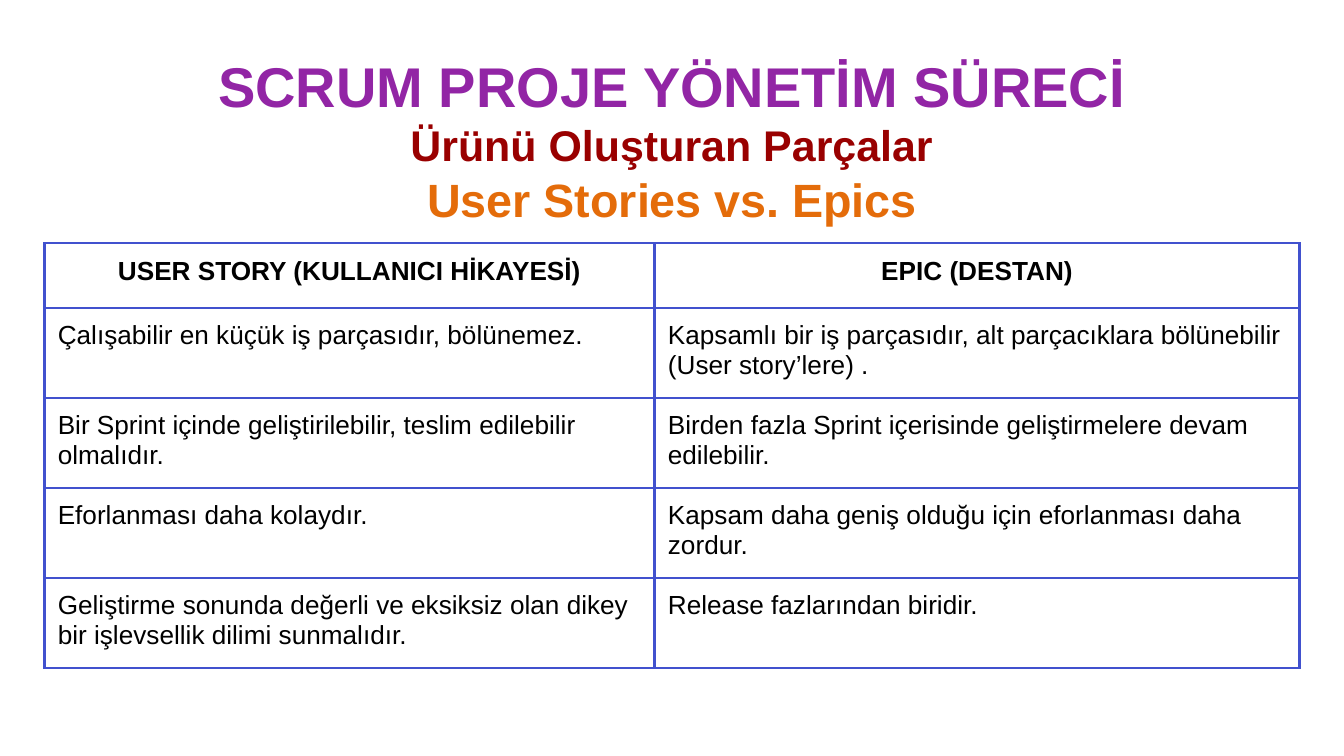
from lxml import etree
from pptx import Presentation
from pptx.dml.color import RGBColor
from pptx.enum import text
from pptx.oxml.ns import qn
from pptx.util import Inches, Pt

FONT = "Arial"
BORDER = "4151CE"
TITLE_LINES = [
    ("SCRUM PROJE YÖNETİM SÜRECİ", 30, "9225A5"),
    ("Ürünü Oluşturan Parçalar", 23, "990000"),
    ("User Stories vs. Epics", 25, "E46C0A"),
]
COMPARISON = [
    ("USER STORY (KULLANICI HİKAYESİ)", "EPIC (DESTAN)"),
    ("Çalışabilir en küçük iş parçasıdır, bölünemez.",
     "Kapsamlı bir iş parçasıdır, alt parçacıklara bölünebilir (User story’lere) ."),
    ("Bir Sprint içinde geliştirilebilir, teslim edilebilir olmalıdır.",
     "Birden fazla Sprint içerisinde geliştirmelere devam edilebilir."),
    ("Eforlanması daha kolaydır.",
     "Kapsam daha geniş olduğu için eforlanması daha zordur."),
    ("Geliştirme sonunda değerli ve eksiksiz olan dikey bir işlevsellik dilimi sunmalıdır.",
     "Release fazlarından biridir."),
]


def color(value):
    return RGBColor.from_string(value)


def style(para, size, value, bold, align):
    para.alignment = align
    font = para.font
    font.name, font.size, font.bold = FONT, Pt(size), bold
    font.color.rgb = color(value)


def add_borders(cell, value, width):
    properties = cell._tc.get_or_add_tcPr()
    for side in ("a:lnL", "a:lnR", "a:lnT", "a:lnB"):
        line = etree.SubElement(properties, qn(side), w=str(Pt(width)))
        fill = etree.SubElement(line, qn("a:solidFill"))
        etree.SubElement(fill, qn("a:srgbClr"), val=value)


def place_title(page, left, top, width, height):
    title = page.shapes.title
    title.left, title.top = Inches(left), Inches(top)
    title.width, title.height = Inches(width), Inches(height)
    frame = title.text_frame
    frame.word_wrap = True
    frame.auto_size = text.MSO_AUTO_SIZE.NONE
    frame.vertical_anchor = text.MSO_ANCHOR.MIDDLE
    frame.text = "\n".join(line for line, _, _ in TITLE_LINES)
    for para, (_, size, value) in zip(frame.paragraphs, TITLE_LINES):
        style(para, size, value, True, text.PP_ALIGN.CENTER)


def place_comparison(page, left, top, column_widths, row_heights):
    table = page.shapes.add_table(
        len(row_heights), len(column_widths), Inches(left), Inches(top),
        Inches(sum(column_widths)), Inches(sum(row_heights))).table
    for column, width in zip(table.columns, column_widths):
        column.width = Inches(width)
    for row, height in zip(table.rows, row_heights):
        row.height = Inches(height)
    for r, entries in enumerate(COMPARISON):
        header = r == 0
        align = text.PP_ALIGN.CENTER if header else text.PP_ALIGN.LEFT
        for c, entry in enumerate(entries):
            cell = table.cell(r, c)
            cell.text = entry
            style(cell.text_frame.paragraphs[0], 14, "000000", header, align)
            cell.margin_left = cell.margin_right = Inches(0.1)
            cell.margin_top = cell.margin_bottom = Inches(0.1)
            add_borders(cell, BORDER, 1.5)
            cell.fill.background()


def main():
    deck = Presentation()
    # Widescreen, 16:9
    deck.slide_width, deck.slide_height = Inches(10), Inches(10 * 9 / 16)
    page = deck.slides.add_slide(deck.slide_layouts.get_by_name("Title Only"))

    # Comparison of the two kinds of backlog item
    place_comparison(page, 0.33, 1.81, [4.54, 4.8], [0.48] + [0.67] * 4)
    # Three-line heading
    place_title(page, 0, 0, 10, 2.07)

    deck.save("out.pptx")


if __name__ == "__main__":
    main()
